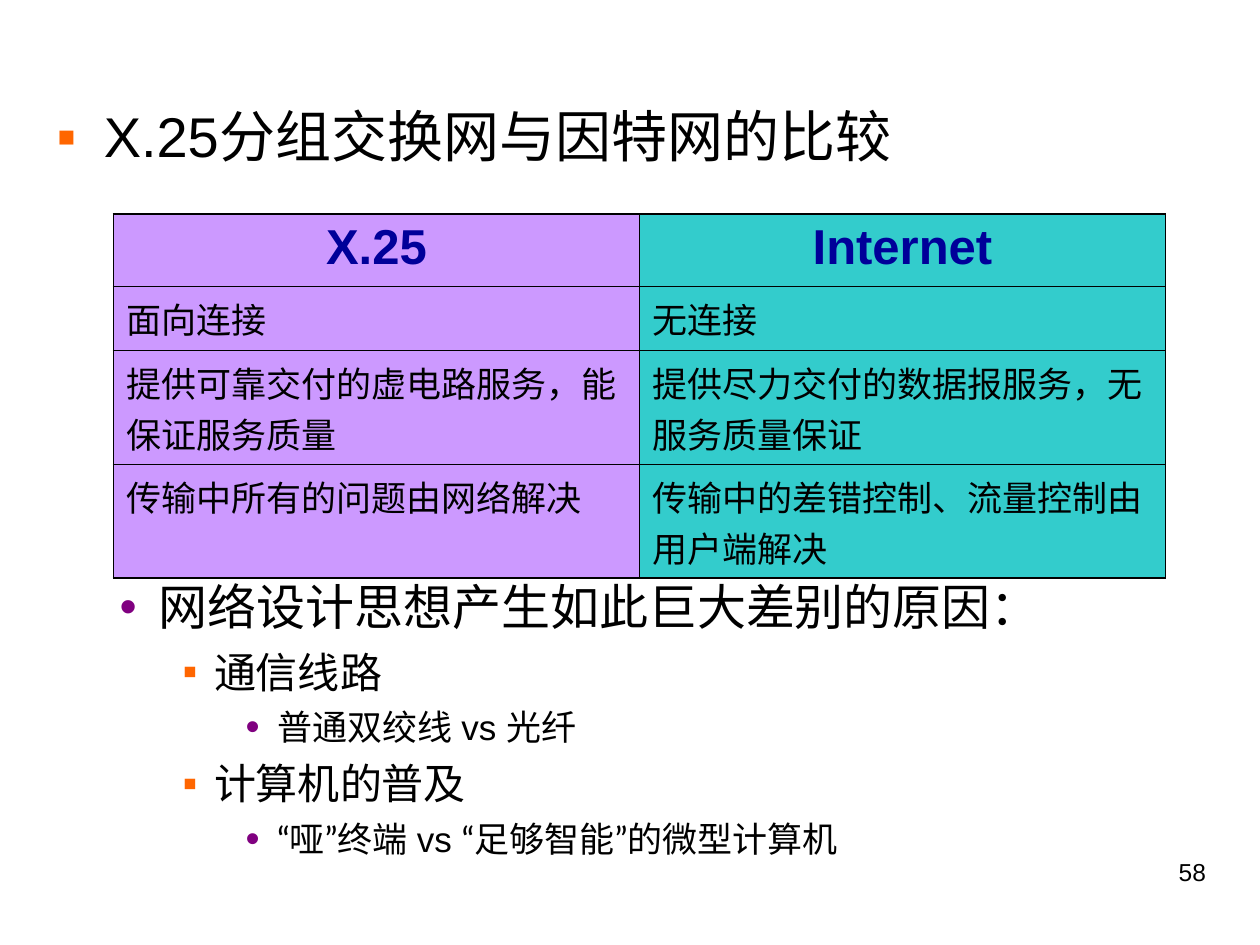
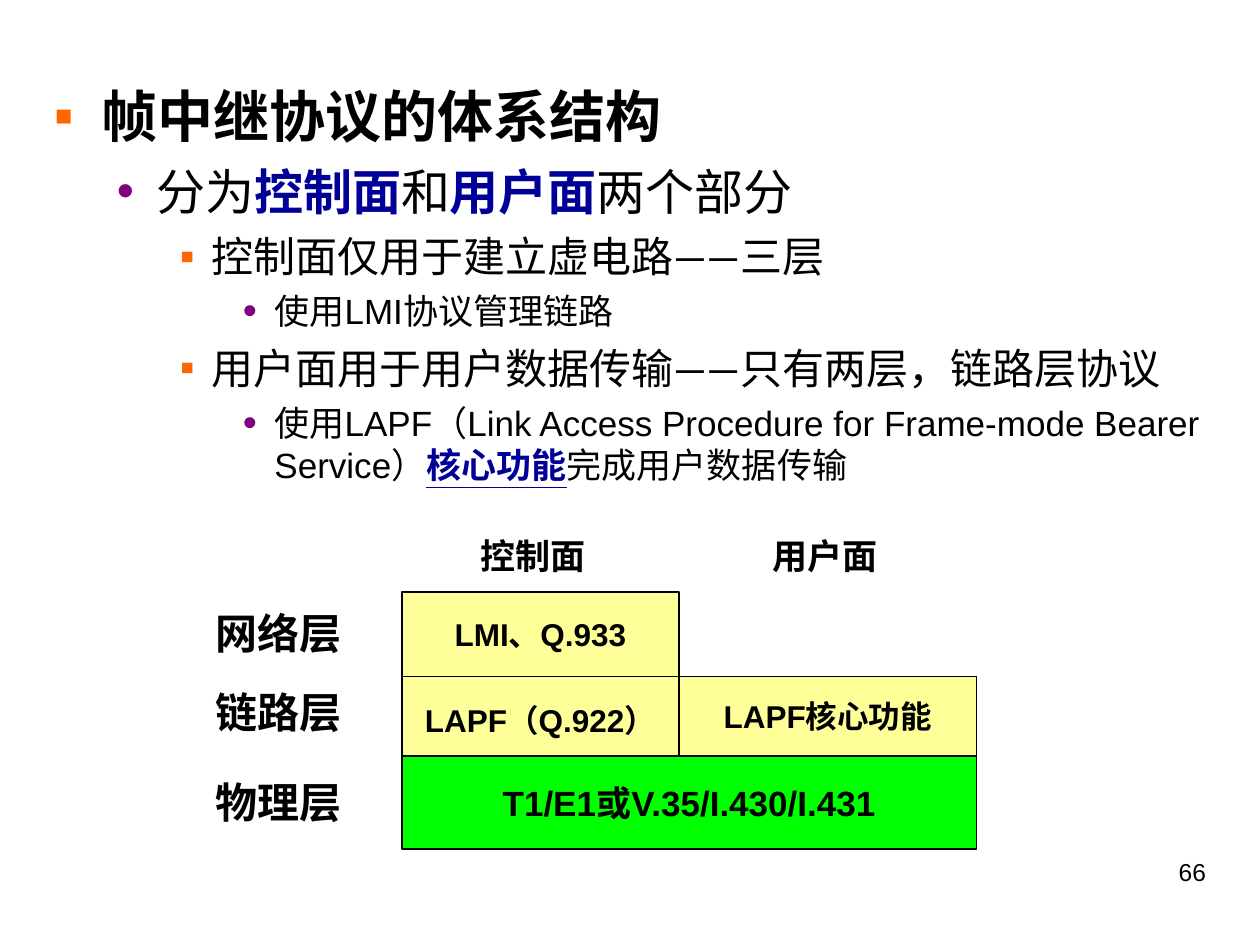
import pptx
import pptx.util
import pptx.dml.color
import pptx.enum.lang
import pptx.enum.shapes
import pptx.enum.text
import pptx.oxml
import pptx.oxml.ns

COLORS = {
    "ink": "000000", "accent": "000099", "square": "FF6600", "dot": "800080",
    "violet": "CC99FF", "teal": "33CCCC", "yellow": "FFFF99", "green": "00FF00",
}
LATIN, ASIAN = "Arial", "Lato"
CELL = pptx.util.Inches(0.1)  # the page is a grid of 100 columns and 75 rows
COLUMNS, ROWS = 100, 75
OUTER_LINE, INNER_LINE = 1.08, 0.45
ALIGN = pptx.enum.text.PP_ALIGN
ANCHOR = pptx.enum.text.MSO_ANCHOR

# Outline levels: size, space before, text indent, bullet indent (grid cells), bullet
LEVELS = [
    {"size": 32, "before": 8, "indent": 3.75, "hang": 3.75, "bullet": "▪", "color": "square"},
    {"size": 28, "before": 7, "indent": 8.13, "hang": 3.13, "bullet": "•", "color": "dot"},
    {"size": 24, "before": 6, "indent": 12.5, "hang": 2.5, "bullet": "▪", "color": "square"},
    {"size": 20, "before": 5, "indent": 17.5, "hang": 2.5, "bullet": "•", "color": "dot",
     "percent": 115},
]


def cells(*lengths):
    return [round(length * CELL) for length in lengths]


def rgb(name):
    return pptx.dml.color.RGBColor.from_string(COLORS[name])


def add_child(parent, tag, **attributes):
    child = pptx.oxml.parse_xml(f"<{tag} {pptx.oxml.ns.nsdecls('a')}/>")
    for key, value in attributes.items():
        child.set(key, str(value))
    parent.append(child)
    return child


def write(para, text, size=20, color="ink", bold=False, underline=False,
          latin=LATIN, asian=ASIAN):
    span = para.add_run()
    span.text = text
    font = span.font
    font.size = pptx.util.Pt(size)
    font.bold = bold
    font.underline = underline
    font.name = latin
    font.color.rgb = rgb(color)
    font.language_id = pptx.enum.lang.MSO_LANGUAGE_ID.SIMPLIFIED_CHINESE
    if asian:
        add_child(span._r.get_or_add_rPr(), "a:ea", typeface=asian)


def add_text(page, text, left, top, width, height, align=ALIGN.CENTER,
             side_inset=1, **style):
    box = page.shapes.add_textbox(*cells(left, top, width, height))
    frame = box.text_frame
    frame.word_wrap = True
    frame.margin_left = frame.margin_right = cells(side_inset)[0]
    para = frame.paragraphs[0]
    para.alignment = align
    write(para, text, **style)


def set_bullet(para, level):
    properties = para._p.get_or_add_pPr()
    indent, hang = cells(level["indent"], level["hang"])
    properties.set("marL", str(indent))
    properties.set("indent", str(-hang))
    color = add_child(properties, "a:buClr")
    add_child(color, "a:srgbClr", val=COLORS[level["color"]])
    add_child(properties, "a:buSzPct", val=level.get("percent", 100) * 1000)
    add_child(properties, "a:buFont", typeface=LATIN)
    add_child(properties, "a:buChar", char=level["bullet"])


def add_outline(page, left, top, width, height, items):
    """Each item is a level and its spans; a span is a text and its format."""
    frame = page.shapes.add_textbox(*cells(left, top, width, height)).text_frame
    frame.word_wrap = True
    for number, (depth, *spans) in enumerate(items):
        para = frame.add_paragraph() if number else frame.paragraphs[0]
        level = LEVELS[depth]
        set_bullet(para, level)
        if number:
            para.space_before = pptx.util.Pt(level["before"])
        for text, style in spans:
            write(para, text, size=level["size"], **style)


def set_border(cell, side, width):
    line = add_child(cell._tc.get_or_add_tcPr(), f"a:ln{side}", w=pptx.util.Pt(width))
    add_child(add_child(line, "a:solidFill"), "a:srgbClr", val=COLORS["ink"])


def add_comparison(page, left, top, width, heights, rows, fills):
    frame = page.shapes.add_table(len(rows), len(fills),
                                  *cells(left, top, width, sum(heights)))
    table = frame.table
    table.first_row = table.horz_banding = False
    for column in table.columns:
        column.width = cells(width / len(fills))[0]
    for r, texts in enumerate(rows):
        table.rows[r].height = cells(heights[r])[0]
        for c, text in enumerate(texts):
            cell = table.cell(r, c)
            outer = {"L": c == 0, "R": c == len(fills) - 1,
                     "T": r == 0, "B": r == len(rows) - 1}
            for side, is_outer in outer.items():
                set_border(cell, side, OUTER_LINE if is_outer else INNER_LINE)
            cell.fill.solid()
            cell.fill.fore_color.rgb = rgb(fills[c])
            para = cell.text_frame.paragraphs[0]
            if r == 0:
                para.alignment = ALIGN.CENTER
                write(para, text, size=28, color="accent", bold=True, asian=None)
            else:
                write(para, text, asian=None)


def add_layer(page, text, left, top, right, bottom, fill, size=18):
    rectangle = pptx.enum.shapes.MSO_SHAPE.RECTANGLE
    box = page.shapes.add_shape(rectangle, *cells(left, top, right - left, bottom - top))
    box.shadow.inherit = False
    box.fill.solid()
    box.fill.fore_color.rgb = rgb(fill)
    box.line.color.rgb = rgb("ink")
    box.line.width = pptx.util.Pt(1)
    frame = box.text_frame
    frame.word_wrap = False
    frame.vertical_anchor = ANCHOR.MIDDLE
    frame.paragraphs[0].alignment = ALIGN.CENTER
    write(frame.paragraphs[0], text, size=size, bold=True)


def add_page(deck, number):
    page = deck.slides.add_slide(deck.slide_layouts[6])
    add_text(page, str(number), 71.7, 67.5, 25, 5.2, align=ALIGN.RIGHT, size=14)
    return page


def build_comparison(deck):
    page = add_page(deck, 58)
    add_outline(page, 3.5, 7.6, 92.9, 6.5, [(0, ("X.25分组交换网与因特网的比较", {}))])
    add_outline(page, 3.5, 45.3, 92.9, 23.7, [
        (1, ("网络设计思想产生如此巨大差别的原因：", {})),
        (2, ("通信线路", {})),
        (3, ("普通双绞线 vs 光纤", {})),
        (2, ("计算机的普及", {})),
        (3, ("“哑”终端 vs “足够智能”的微型计算机", {})),
    ])
    add_comparison(page, 9, 17, 83.5, [5.7, 5.1, 9.05, 9.05], [
        ("X.25", "Internet"),
        ("面向连接", "无连接"),
        ("提供可靠交付的虚电路服务，能保证服务质量", "提供尽力交付的数据报服务，无服务质量保证"),
        ("传输中所有的问题由网络解决", "传输中的差错控制、流量控制由用户端解决"),
    ], ["violet", "teal"])


def build_frame_relay(deck):
    page = add_page(deck, 66)
    key = {"color": "accent", "bold": True}
    add_outline(page, 3.3, 6, 93.4, 33.9, [
        (0, ("帧中继协议的体系结构", {"bold": True})),
        (1, ("分为", {}), ("控制面", key), ("和", {}), ("用户面", key), ("两个部分", {})),
        (2, ("控制面仅用于建立虚电路——三层", {})),
        (3, ("使用LMI协议管理链路", {})),
        (2, ("用户面用于用户数据传输——只有两层，链路层协议", {})),
        (3, ("使用LAPF（Link Access Procedure for Frame-mode Bearer Service）", {}),
         ("核心功能", {**key, "underline": True}), ("完成用户数据传输", {})),
    ])

    control, user, right = 31.9, 53.9, 77.5
    network, link, physical, bottom = 47, 53.7, 60, 67.4
    add_layer(page, "LAPF核心功能", user, link, right, physical, "yellow")
    add_layer(page, "LAPF（Q.922）", control, link, user, physical + 0.5, "yellow")
    add_layer(page, "T1/E1或V.35/I.430/I.431", control, physical, right, bottom, "green", size=20)
    add_layer(page, "LMI、Q.933", control, network, user, link, "yellow")

    for name, left, width in [("控制面", 37.4, 9.8), ("用户面", 61, 9)]:
        add_text(page, name, left, 41.9, width, 4.3, side_inset=0, bold=True, latin=ASIAN)
    for name, top in [("网络层", 47.7), ("链路层", 54), ("物理层", 61.1)]:
        add_text(page, name, 15.4, top, 13.4, 5, size=24, bold=True)


def main():
    deck = pptx.Presentation()
    deck.slide_width, deck.slide_height = cells(COLUMNS, ROWS)
    build_comparison(deck)
    build_frame_relay(deck)
    deck.save("out.pptx")


if __name__ == "__main__":
    main()
